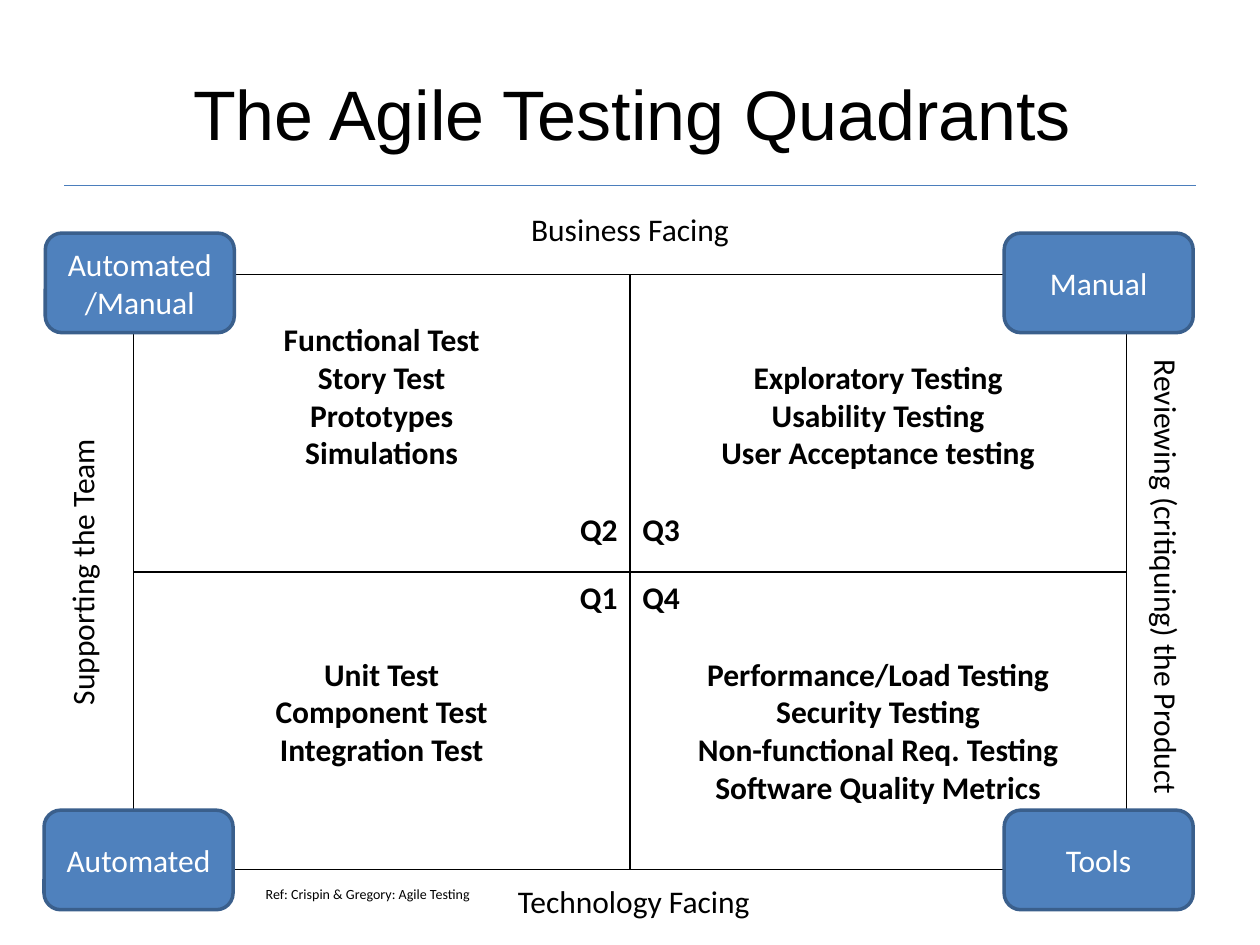
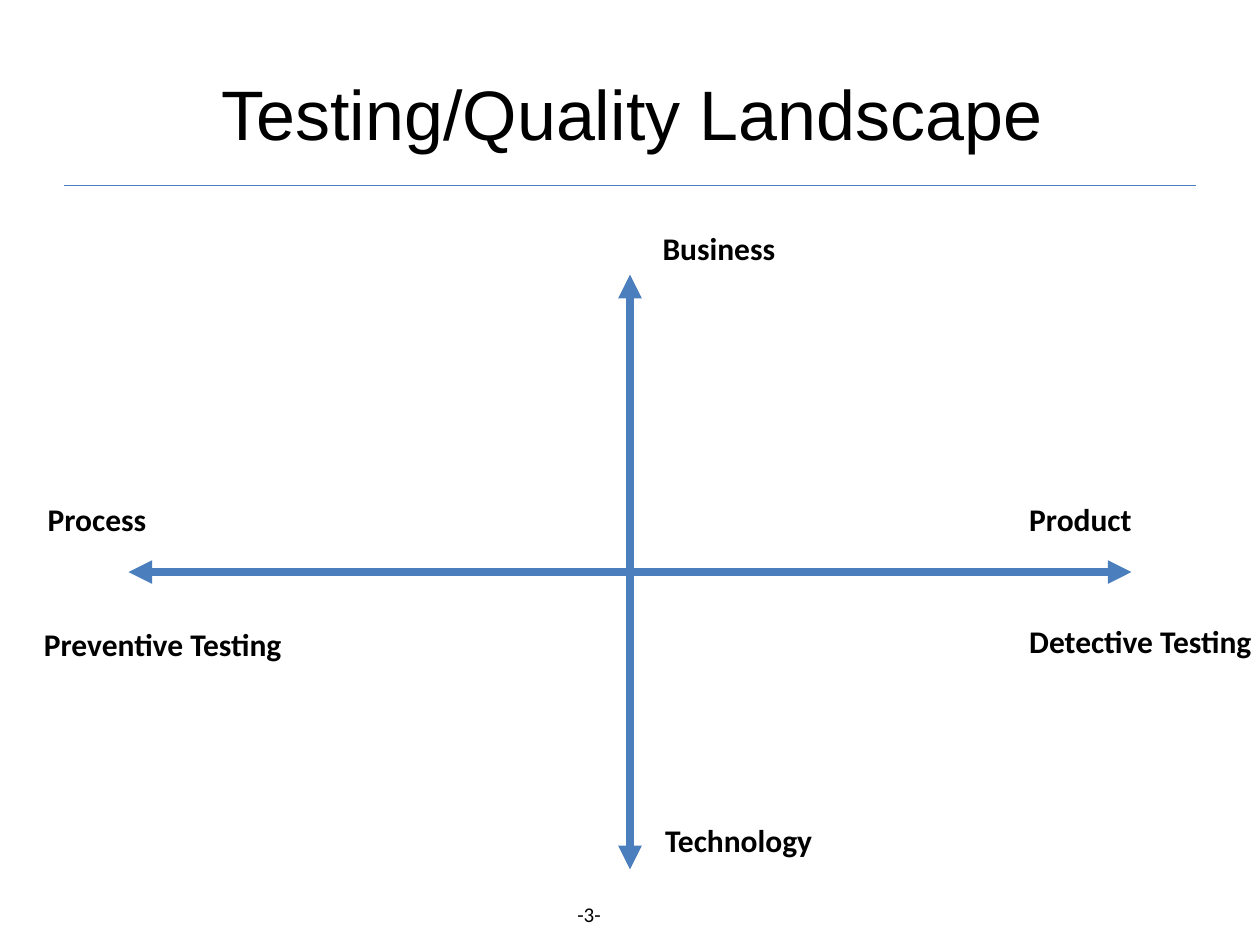
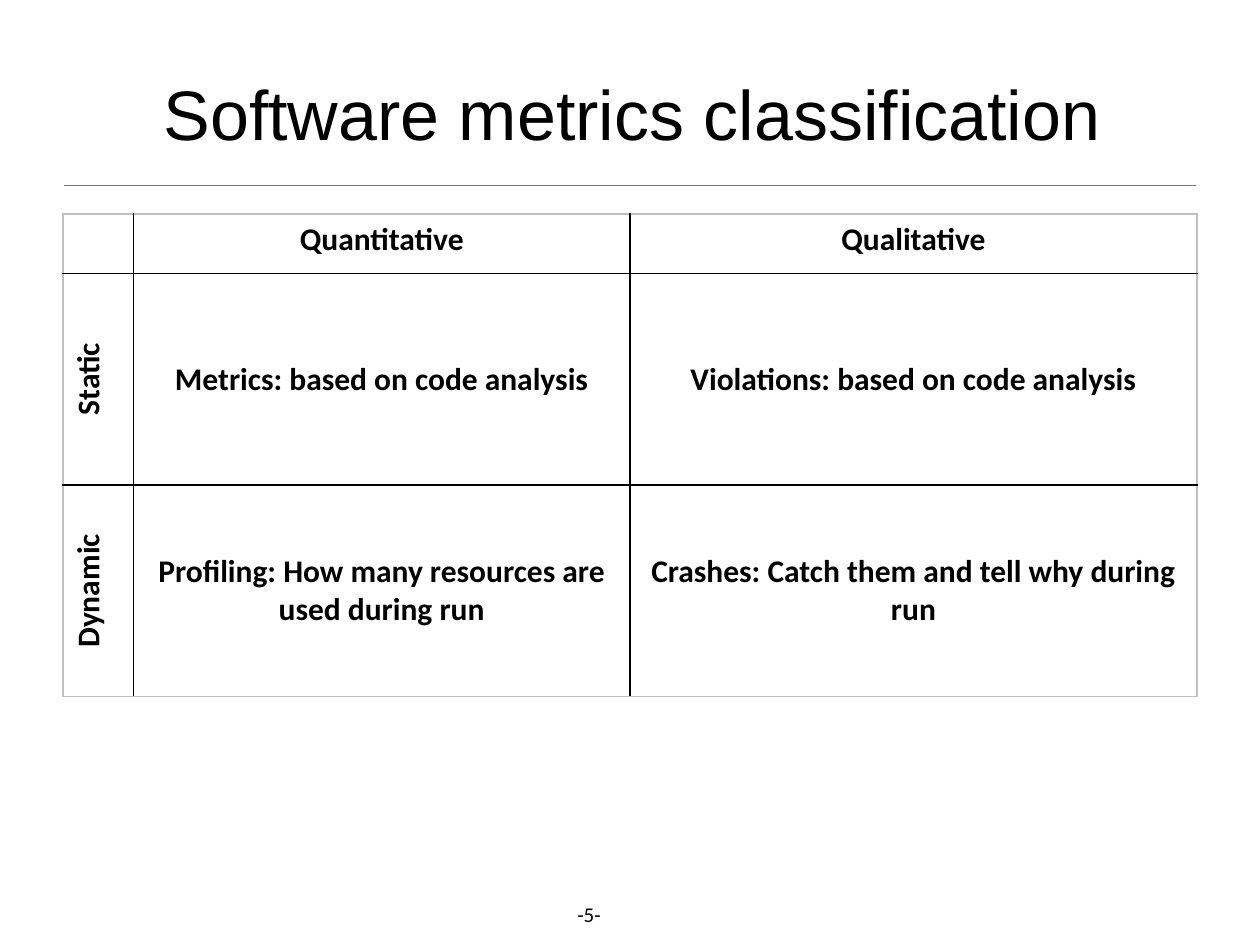
from pptx import Presentation
from pptx.dml.color import RGBColor as Rgb
from pptx.enum.shapes import MSO_CONNECTOR as Conn, MSO_SHAPE as Kind
from pptx.enum.text import MSO_ANCHOR as Anchor, PP_ALIGN as Align
from pptx.oxml.ns import qn
from pptx.util import Inches, Pt
from lxml.etree import SubElement as Sub

ink = {"text": "000000", "page": "FFFFFF", "fill": "4F81BD",
       "edge": "3A5F8C", "line": "4B7EBC", "grid": "BFBFBF"}


def write(frame, text, size=18, font="Calibri", color="text", bold=False,
          align=Align.LEFT, anchor=Anchor.TOP):
    frame.word_wrap = True
    frame.vertical_anchor = anchor
    for n, row in enumerate(text.split("\n")):
        par = frame.paragraphs[0] if n == 0 else frame.add_paragraph()
        par.alignment = align
        run = par.add_run()
        run.text = row
        run.font.name = font
        run.font.size = Pt(size)
        run.font.bold = bold
        run.font.color.rgb = Rgb.from_string(ink[color])


def draw(slide, x1, y1, x2, y2, width, heads=False):
    line = slide.shapes.add_connector(
        Conn.STRAIGHT, Inches(x1), Inches(y1), Inches(x2), Inches(y2))
    line.line.color.rgb = Rgb.from_string(ink["line"])
    line.line.width = Pt(width)
    props = line._element.spPr
    if heads:
        for end in ("a:headEnd", "a:tailEnd"):
            Sub(props.find(qn("a:ln")), qn(end), type="triangle")
    Sub(props, qn("a:effectLst"))


deck = Presentation()
deck.slide_width, deck.slide_height = Inches(10), Inches(7.5)

slides = []
for title, page in (("The Agile Testing Quadrants", ""),
                    ("Testing/Quality Landscape", "-3-"),
                    ("Software metrics classification", "-5-")):
    slide = deck.slides.add_slide(deck.slide_layouts[6])
    draw(slide, 0.51, 1.47, 9.49, 1.47, 0.75)
    if page:
        box = slide.shapes.add_textbox(Inches(4.4), Inches(7.11), Inches(0.55), Inches(0.3))
        write(box.text_frame, page, size=12, align=Align.CENTER)
    box = slide.shapes.add_textbox(Inches(0.98), Inches(0.27), Inches(8.07), Inches(1.25))
    write(box.text_frame, title, size=40, font="Arial", align=Align.CENTER,
          anchor=Anchor.MIDDLE)
    slides.append(slide)
quads, land, metrics = slides

left, top, wide, high = 1.06, 2.18, 3.94, 2.36
line_gap = 22
for col, row, inset, text in (
        (0, 0, 0.36, "Functional Test\nStory Test\nPrototypes\nSimulations\nQ2"),
        (0, 1, 0.05, "Q1\nUnit Test\nComponent Test\nIntegration Test"),
        (1, 0, 0.66, "Exploratory Testing\nUsability Testing\nUser Acceptance testing\nQ3"),
        (1, 1, 0.05, "Q4\nPerformance/Load Testing\nSecurity Testing\n"
                     "Non-functional Req. Testing\nSoftware Quality Metrics")):
    quad = quads.shapes.add_shape(
        Kind.RECTANGLE, Inches(left + col * wide), Inches(top + row * high),
        Inches(wide), Inches(high))
    quad.shadow.inherit = False
    quad.fill.background()
    quad.line.color.rgb = Rgb.from_string(ink["text"])
    quad.line.width = Pt(0.75)
    frame = quad.text_frame
    frame.margin_top = Inches(inset)
    write(frame, text, bold=True, align=Align.CENTER)
    pars = frame.paragraphs
    tag, after = (pars[0], pars[1]) if row else (pars[-1], pars[-1])
    tag.alignment = Align.LEFT if col else Align.RIGHT
    after.space_before = Pt(line_gap)

for text, x, y, turn in (("Business Facing", 2.64, 1.62, 0),
                         ("Technology Facing", 2.67, 6.95, 0),
                         ("Supporting the Team", -1.71, 4.34, 270),
                         ("Reviewing (critiquing) the Product", 6.9, 4.38, 90)):
    label = quads.shapes.add_textbox(Inches(x), Inches(y), Inches(4.72), Inches(0.4))
    label.rotation = turn
    label.fill.solid()
    label.fill.fore_color.rgb = Rgb.from_string(ink["page"])
    write(label.text_frame, text, align=Align.CENTER)

for text, x, y in (("Automated", 0.35, 6.43), ("Automated/Manual", 0.36, 1.85),
                   ("Manual", 7.97, 1.85), ("Tools", 7.97, 6.43)):
    badge = quads.shapes.add_shape(
        Kind.ROUNDED_RECTANGLE, Inches(x), Inches(y), Inches(1.5), Inches(0.79))
    badge.shadow.inherit = False
    badge.fill.solid()
    badge.fill.fore_color.rgb = Rgb.from_string(ink["fill"])
    badge.line.color.rgb = Rgb.from_string(ink["edge"])
    badge.line.width = Pt(2)
    write(badge.text_frame, text, color="page", align=Align.CENTER, anchor=Anchor.MIDDLE)

note = quads.shapes.add_textbox(Inches(2.01), Inches(6.98), Inches(2.05), Inches(0.24))
write(note.text_frame, "Ref: Crispin & Gregory: Agile Testing", size=8)

draw(land, 1.02, 4.54, 8.98, 4.54, 4.5, heads=True)
draw(land, 5, 2.18, 5, 6.9, 4.5, heads=True)
for text, x, y in (("Process", 0.28, 3.92), ("Product", 8.07, 3.92),
                   ("Business", 5.16, 1.77), ("Technology", 5.18, 6.47),
                   ("Preventive Testing", 0.25, 4.91),
                   ("Detective Testing", 8.07, 4.89)):
    label = land.shapes.add_textbox(Inches(x), Inches(y), Inches(2.52), Inches(0.4))
    write(label.text_frame, text, bold=True)

cells = (("", "Quantitative", "Qualitative"),
         ("Static", "Metrics: based on code analysis", "Violations: based on code analysis"),
         ("Dynamic", "Profiling: How many resources are used during run",
          "Crashes: Catch them and tell why during run"))
table = metrics.shapes.add_table(
    3, 3, Inches(0.5), Inches(1.7), Inches(9), Inches(3.83)).table
table.first_row = table.horz_banding = False
for col, size in zip(table.columns, (0.56, 3.94, 4.5)):
    col.width = Inches(size)
for row, size in zip(table.rows, (0.47, 1.68, 1.68)):
    row.height = Inches(size)
for r, row in enumerate(cells):
    for c, text in enumerate(row):
        cell = table.cell(r, c)
        props = cell._tc.get_or_add_tcPr()
        for side, outer in (("L", c == 0), ("R", c == 2), ("T", r == 0), ("B", r == 2)):
            edge = Sub(props, qn("a:ln" + side), w=str(Pt(1)))
            fill = Sub(edge, qn("a:solidFill"))
            Sub(fill, qn("a:srgbClr"), val=ink["grid" if outer else "text"])
        cell.fill.background()
        if text:
            write(cell.text_frame, text, bold=True, align=Align.CENTER)
        if r and c:
            cell.vertical_anchor = Anchor.MIDDLE
        elif r:
            props.set("vert", "vert270")

deck.save("out.pptx")
